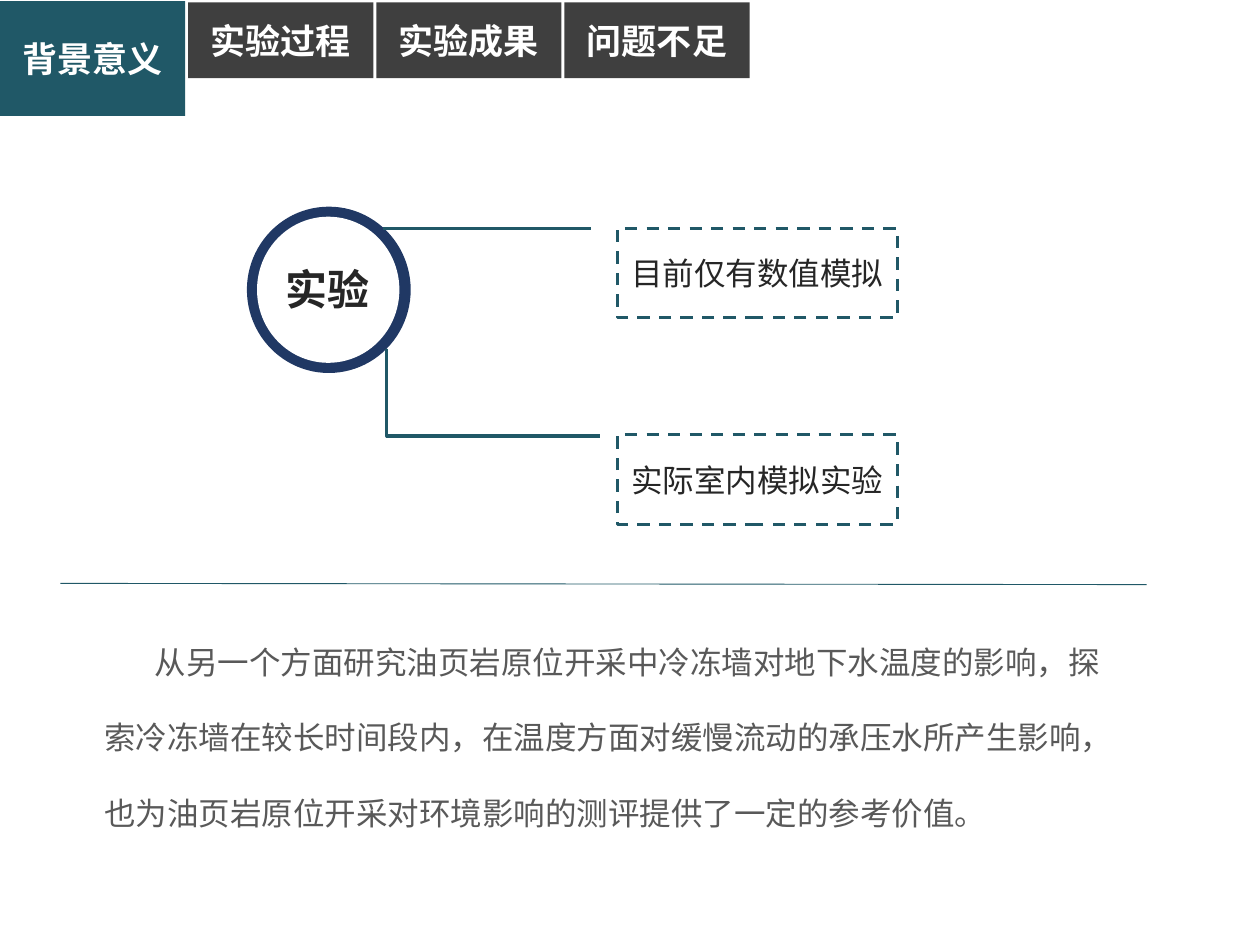
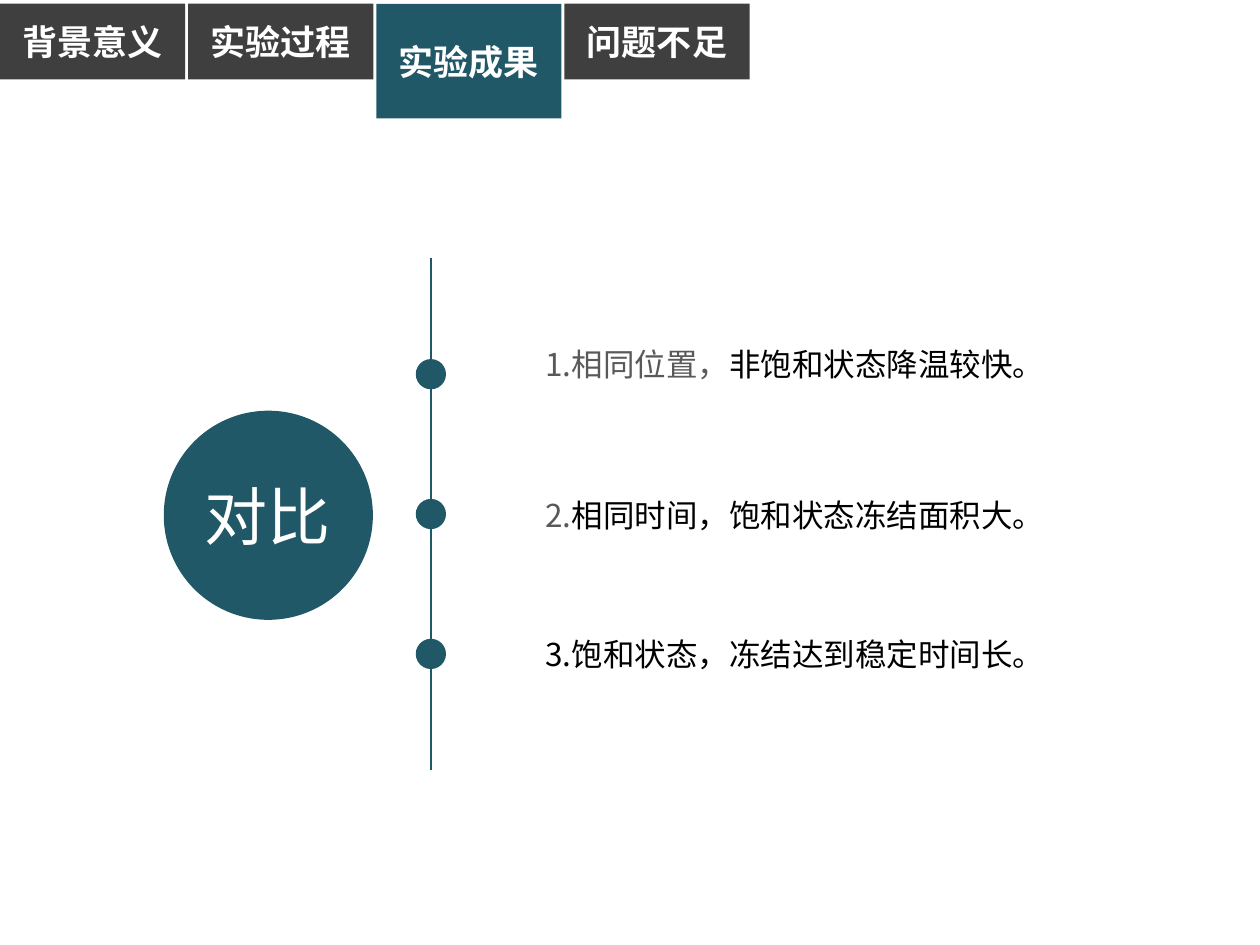
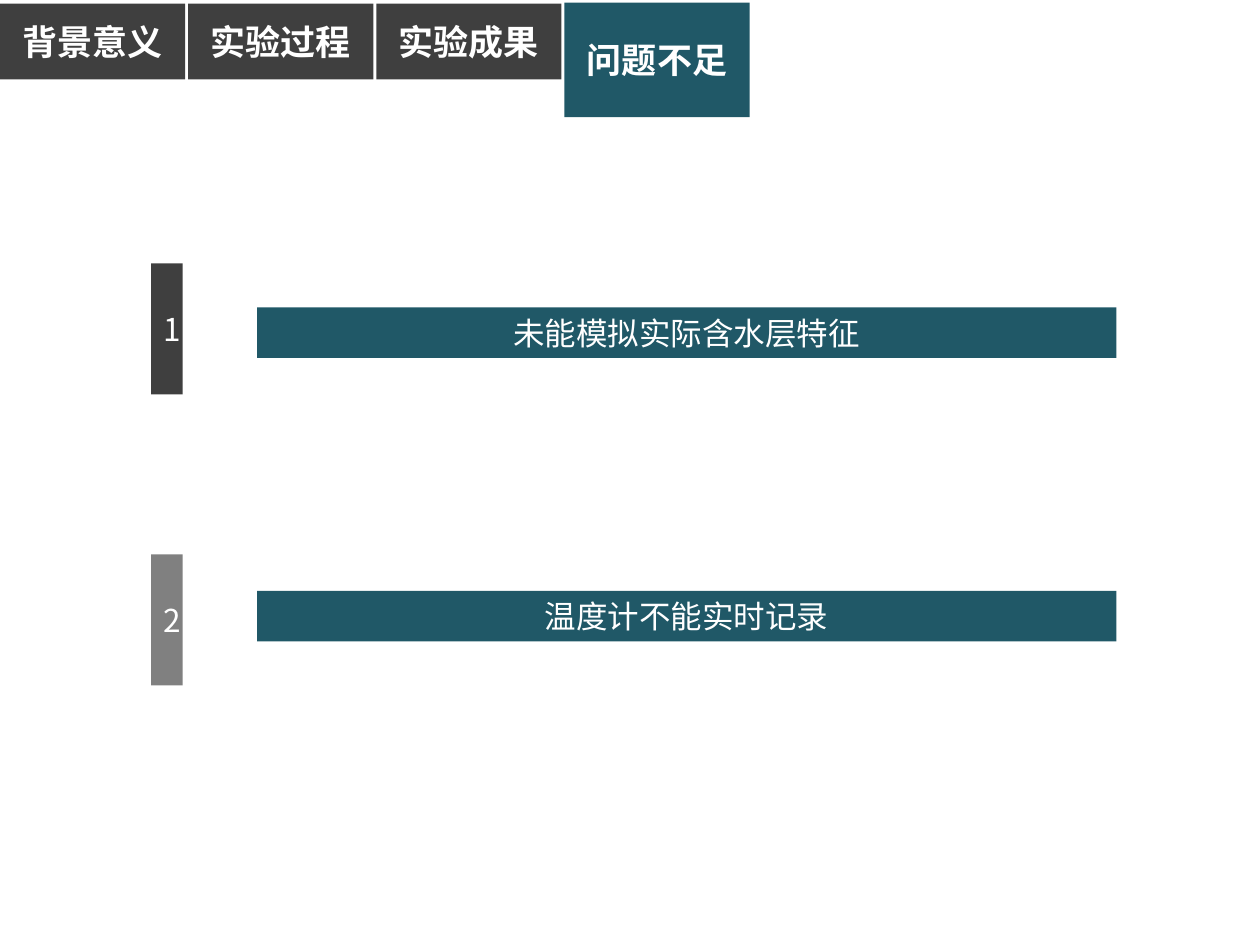
from pptx import Presentation
from pptx import util as u
from pptx.dml.color import RGBColor
from pptx.enum import dml, shapes, text
from pptx.oxml.ns import qn
from lxml import etree

COLORS = {
    "teal": "205867", "dark": "3F3F3F", "gray": "808080", "navy": "203864",
    "ink": "262626", "body": "595959", "black": "000000", "white": "FFFFFF",
}
FONT = "Noto Sans CJK SC"
TABS = ["背景意义", "实验过程", "实验成果", "问题不足"]
TAB_W, TAB_H, ACTIVE_H = 1.47, 0.6, 0.91
TAB_PITCH = 4.48 / 3
CENTER, LEFT = text.PP_ALIGN.CENTER, text.PP_ALIGN.LEFT
MIDDLE, TOP = text.MSO_ANCHOR.MIDDLE, text.MSO_ANCHOR.TOP
RECT, OVAL = shapes.MSO_SHAPE.RECTANGLE, shapes.MSO_SHAPE.OVAL


def rgb(name):
    return RGBColor.from_string(COLORS[name])


def box(*lengths):
    return [u.Inches(n) for n in lengths]


def write(sp, runs, size=18, color="white", bold=False, align=CENTER,
          anchor=MIDDLE, spacing=1, indent=0):
    tf = sp.text_frame
    tf.word_wrap = True
    tf.auto_size = text.MSO_AUTO_SIZE.NONE
    tf.vertical_anchor = anchor
    p = tf.paragraphs[0]
    p.alignment = align
    p.line_spacing = spacing
    if indent:
        p._p.get_or_add_pPr().set("indent", str(u.Inches(indent)))
    for content, tint in [(runs, color)] if isinstance(runs, str) else runs:
        r = p.add_run()
        r.text = content
        r.font.size = u.Pt(size)
        r.font.bold = bold
        r.font.name = FONT
        r.font.color.rgb = rgb(tint)
        etree.SubElement(r._r.get_or_add_rPr(), qn("a:ea")).set("typeface", FONT)


class Deck:
    def __init__(self):
        self.prs = Presentation()
        self.prs.slide_width, self.prs.slide_height = box(10, 7.5)
        self.s = None

    def slide(self, active, active_top, top):
        self.s = self.prs.slides.add_slide(self.prs.slide_layouts[5])
        for i, label in enumerate(TABS):
            left = i * TAB_PITCH
            if label == active:
                sp = self.s.shapes.title
                sp.left, sp.top, sp.width, sp.height = box(left, active_top, TAB_W, ACTIVE_H)
                sp.fill.solid()
                sp.fill.fore_color.rgb = rgb("teal")
            else:
                sp = self.shape(RECT, left, top, TAB_W, TAB_H, "dark")
            write(sp, label, size=20, bold=True)

    def shape(self, kind, left, top, width, height, fill, dashed=False):
        sp = self.s.shapes.add_shape(kind, *box(left, top, width, height))
        sp.shadow.inherit = False
        sp.fill.solid()
        sp.fill.fore_color.rgb = rgb(fill)
        if dashed:
            sp.line.color.rgb = rgb("teal")
            sp.line.width = u.Pt(1.75)
            sp.line.dash_style = dml.MSO_LINE.DASH
        else:
            sp.line.fill.background()
        return sp

    def label(self, left, top, width, height, runs, **fmt):
        sp = self.s.shapes.add_textbox(*box(left, top, width, height))
        write(sp, runs, **{"anchor": TOP, **fmt})

    def line(self, x1, y1, x2, y2, width, kind=shapes.MSO_CONNECTOR.STRAIGHT):
        sp = self.s.shapes.add_connector(kind, *box(x1, y1, x2, y2))
        sp.line.color.rgb = rgb("teal")
        sp.line.width = u.Pt(width)
        etree.SubElement(sp._element.spPr, qn("a:effectLst"))
        return sp

    def down_then_right(self, x1, y1, x2, y2, width):
        cx, cy = (x1 + x2) / 2, (y1 + y2) / 2
        dx, dy = (y2 - y1) / 2, (x2 - x1) / 2
        sp = self.line(cx - dx, cy - dy, cx + dx, cy + dy, width,
                       shapes.MSO_CONNECTOR.ELBOW)
        spPr = sp._element.spPr
        spPr.find(qn("a:prstGeom")).set("prst", "bentConnector2")
        xfrm = spPr.find(qn("a:xfrm"))
        xfrm.set("rot", "16200000")
        xfrm.set("flipH", "1")


def background(deck):
    deck.slide("背景意义", 0.01, 0.02)
    deck.shape(OVAL, 1.96, 1.64, 1.3, 1.32, "navy")
    deck.shape(OVAL, 2.04, 1.72, 1.13, 1.16, "white")
    deck.label(2.01, 2.04, 1.18, 0.5, "实验", size=24, color="ink", bold=True)
    for top, content in [(1.81, "目前仅有数值模拟"), (3.45, "实际室内模拟实验")]:
        sp = deck.shape(RECT, 4.9, top, 2.22, 0.71, "white", dashed=True)
        write(sp, content, color="ink")
    deck.line(3.04, 1.81, 4.69, 1.81, 1.75)
    deck.down_then_right(3.07, 2.77, 4.76, 3.46, 1.75)
    deck.line(0.48, 4.63, 9.1, 4.64, 0.5)
    deck.label(0.73, 4.75, 8.24, 2.52,
               "从另一个方面研究油页岩原位开采中冷冻墙对地下水温度的影响，"
               "探索冷冻墙在较长时间段内，在温度方面对缓慢流动的承压水所产生影响，"
               "也为油页岩原位开采对环境影响的测评提供了一定的参考价值。",
               color="body", align=LEFT, spacing=2, indent=0.4)


def results(deck):
    deck.slide("实验成果", 0.03, 0.03)
    deck.shape(OVAL, 1.3, 3.26, 1.66, 1.66, "teal")
    deck.label(1.52, 3.74, 1.21, 0.71, "对比", size=36)
    deck.line(3.42, 2.05, 3.42, 6.11, 1.5)
    findings = [
        (2.69, [("1.相同位置，", "body"), ("非饱和状态降温较快。", "black")]),
        (3.89, [("2.", "body"), ("相同时间，饱和状态冻结面积大。", "black")]),
        (4.99, [("3.饱和状态，冻结达到稳定时间长。", "black")]),
    ]
    for i, (top, runs) in enumerate(findings):
        deck.shape(OVAL, 3.3, 2.85 + i * 1.11, 0.24, 0.24, "teal")
        deck.label(4.23, top, 4.36, 0.4, runs, align=LEFT)


def problems(deck):
    deck.slide("问题不足", 0.02, 0.03)
    rows = [
        ("1", 2.09, "dark", 2.44, "未能模拟实际含水层特征"),
        ("2", 4.4, "gray", 4.69, "温度计不能实时记录"),
    ]
    for number, top, fill, bar_top, content in rows:
        write(deck.shape(RECT, 1.2, top, 0.25, 1.04, fill), number)
        write(deck.shape(RECT, 2.04, bar_top, 6.82, 0.4, "teal"), content)


def main():
    deck = Deck()
    background(deck)
    results(deck)
    problems(deck)
    deck.prs.save("out.pptx")


if __name__ == "__main__":
    main()
